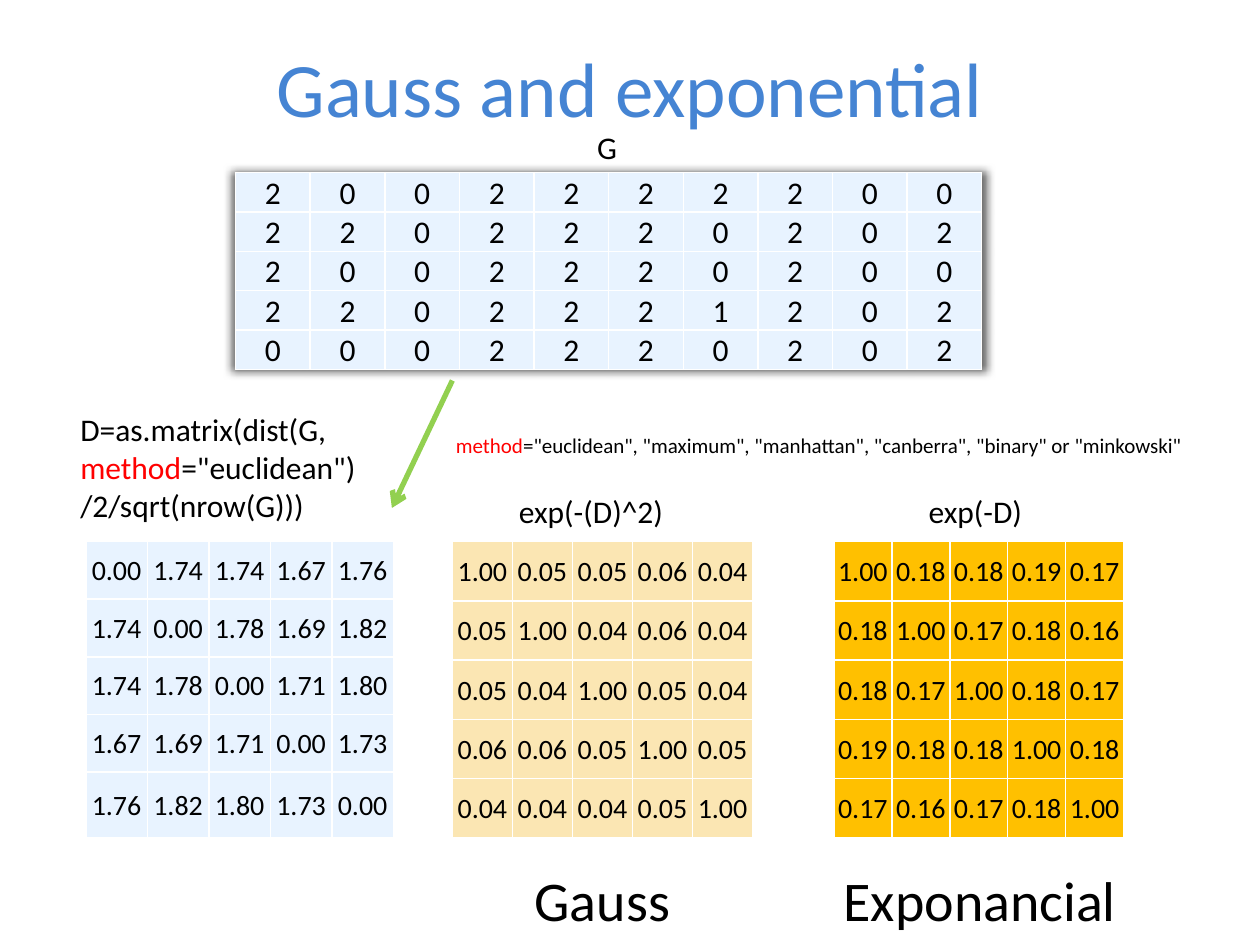
from lxml import etree
from pptx import Presentation
from pptx import util as u
from pptx.dml.color import RGBColor
from pptx.enum import shapes, text
from pptx.oxml import ns

FONT = "Calibri"
BLACK = RGBColor(0x00, 0x00, 0x00)
RED = RGBColor(0xFF, 0x00, 0x00)
TITLE_BLUE = RGBColor(0x45, 0x84, 0xD3)
PALE_BLUE = RGBColor(0xE8, 0xF3, 0xFF)
CREAM = RGBColor(0xFB, 0xE6, 0xB3)
AMBER = RGBColor(0xFF, 0xC0, 0x00)
GREEN = RGBColor(0x92, 0xD0, 0x50)

GENOTYPES = """2 0 0 2 2 2 2 2 0 0
2 2 0 2 2 2 0 2 0 2
2 0 0 2 2 2 0 2 0 0
2 2 0 2 2 2 1 2 0 2
0 0 0 2 2 2 0 2 0 2"""
DISTANCES = """0.00 1.74 1.74 1.67 1.76
1.74 0.00 1.78 1.69 1.82
1.74 1.78 0.00 1.71 1.80
1.67 1.69 1.71 0.00 1.73
1.76 1.82 1.80 1.73 0.00"""
GAUSS = """1.00 0.05 0.05 0.06 0.04
0.05 1.00 0.04 0.06 0.04
0.05 0.04 1.00 0.05 0.04
0.06 0.06 0.05 1.00 0.05
0.04 0.04 0.04 0.05 1.00"""
EXPONENTIAL = """1.00 0.18 0.18 0.19 0.17
0.18 1.00 0.17 0.18 0.16
0.18 0.17 1.00 0.18 0.17
0.19 0.18 0.18 1.00 0.18
0.17 0.16 0.17 0.18 1.00"""


def set_font(para, size, color=BLACK):
    para.font.name = FONT
    para.font.size = u.Pt(size)
    para.font.color.rgb = color


def add_title(page, left, top, width, height):
    title = page.shapes.title
    title.left, title.top = u.Cm(left), u.Cm(top)
    title.width, title.height = u.Cm(width), u.Cm(height)
    title.text_frame.text = "Gauss and exponential"
    title.text_frame.vertical_anchor = text.MSO_ANCHOR.MIDDLE
    para = title.text_frame.paragraphs[0]
    para.alignment = text.PP_ALIGN.CENTER
    set_font(para, 44, TITLE_BLUE)


def add_label(page, left, top, width, height, spans, size=18, wrap=True, centered=False):
    box = page.shapes.add_textbox(u.Cm(left), u.Cm(top), u.Cm(width), u.Cm(height))
    frame = box.text_frame
    frame.word_wrap = wrap
    para = frame.paragraphs[0]
    set_font(para, size)
    if centered:
        frame.vertical_anchor = text.MSO_ANCHOR.MIDDLE
        para.alignment = text.PP_ALIGN.CENTER
    for words in spans:
        span = para.add_run()
        span.text = words
        if words == "method":
            span.font.color.rgb = RED


def add_matrix(page, left, top, width, height, values, fill, size=16):
    rows = [line.split() for line in values.splitlines()]
    table = page.shapes.add_table(len(rows), len(rows[0]), u.Cm(left), u.Cm(top),
                                  u.Cm(width), u.Cm(height)).table
    table.first_row = table.horz_banding = False
    for row, numbers in zip(table.rows, rows):
        row.height = u.Cm(height / len(rows))
        for cell, number in zip(row.cells, numbers):
            cell.margin_left = cell.margin_right = cell.margin_top = u.Cm(0.03)
            cell.margin_bottom = 0
            cell.vertical_anchor = text.MSO_ANCHOR.MIDDLE
            cell.fill.solid()
            cell.fill.fore_color.rgb = fill
            cell.text = number
            para = cell.text_frame.paragraphs[0]
            para.alignment = text.PP_ALIGN.CENTER
            set_font(para, size)
    return table


def add_table_shadow(table):
    properties = table._tbl.tblPr
    effects = etree.Element(ns.qn("a:effectLst"))
    shadow = etree.SubElement(effects, ns.qn("a:outerShdw"), blurRad="63500",
                              dist="0", dir="0", algn="ctr", rotWithShape="0")
    shadow.set("sx", "101000")
    shadow.set("sy", "101000")
    color = etree.SubElement(shadow, ns.qn("a:srgbClr"), val="000000")
    etree.SubElement(color, ns.qn("a:alpha"), val="60000")
    properties.insert(0, effects)


def add_genotypes(page, left, top, width, height):
    add_label(page, left + 7.04, top - 1.02, 0.91, 1.02, ["G"], wrap=False)
    add_table_shadow(add_matrix(page, left, top, width, height, GENOTYPES, PALE_BLUE, 18))


def add_distances(page, left, top, width, height):
    add_label(page, left - 0.36, top - 2.77, 6.76, 2.57,
              ["D=as.matrix(dist(G, ", "method", '="euclidean") /2/sqrt(nrow(G)))'])
    table = add_matrix(page, left, top, width, height, DISTANCES, PALE_BLUE)
    *upper_rows, last_row = table.rows
    for row in upper_rows:
        row.height = u.Cm(1.16)
    last_row.height = u.Cm(height - 1.16 * len(upper_rows))


def add_kernel(page, left, top, width, height, values, fill, formula, formula_box, name, name_box):
    formula_left, formula_width = formula_box
    name_left, name_width = name_box
    add_matrix(page, left, top, width, height, values, fill)
    add_label(page, left + formula_left, top - 1.12, formula_width, 1.02, [formula], wrap=False)
    add_label(page, left + name_left, top + 6.58, name_width, 1.27, [name], 32, centered=True)


def add_arrow(page, start_x, start_y, end_x, end_y):
    arrow = page.shapes.add_connector(shapes.MSO_CONNECTOR.STRAIGHT, u.Cm(start_x),
                                      u.Cm(start_y), u.Cm(end_x), u.Cm(end_y))
    arrow.line.color.rgb = GREEN
    arrow.line.width = u.Pt(3)
    etree.SubElement(arrow.line._get_or_add_ln(), ns.qn("a:tailEnd"), type="arrow")
    etree.SubElement(arrow._element.spPr, ns.qn("a:effectLst"))


def main():
    deck = Presentation()
    deck.slide_width, deck.slide_height = u.Cm(25.4), u.Cm(19.05)
    page = deck.slides.add_slide(deck.slide_layouts[5])
    add_title(page, 1.27, 0, 22.86, 3.48)
    add_genotypes(page, 4.75, 3.48, 15.04, 3.96)
    add_distances(page, 1.73, 10.92, 6.2, 5.97)
    add_arrow(page, 9.12, 7.67, 7.9, 10.24)
    add_kernel(page, 9.12, 10.92, 6.05, 5.97, GAUSS, CREAM,
               "exp(-(D)^2)", (1.09, 3.63), "Gauss", (0.79, 4.47))
    add_kernel(page, 16.81, 10.92, 5.84, 5.97, EXPONENTIAL, AMBER,
               "exp(-D)", (1.66, 2.54), "Exponancial", (-0.6, 7.09))
    add_label(page, 8.94, 8.59, 16.31, 0.76,
              ["method", '="euclidean", "maximum", "manhattan", "canberra", "binary" or "minkowski"'], 12)
    deck.save("out.pptx")


if __name__ == "__main__":
    main()
